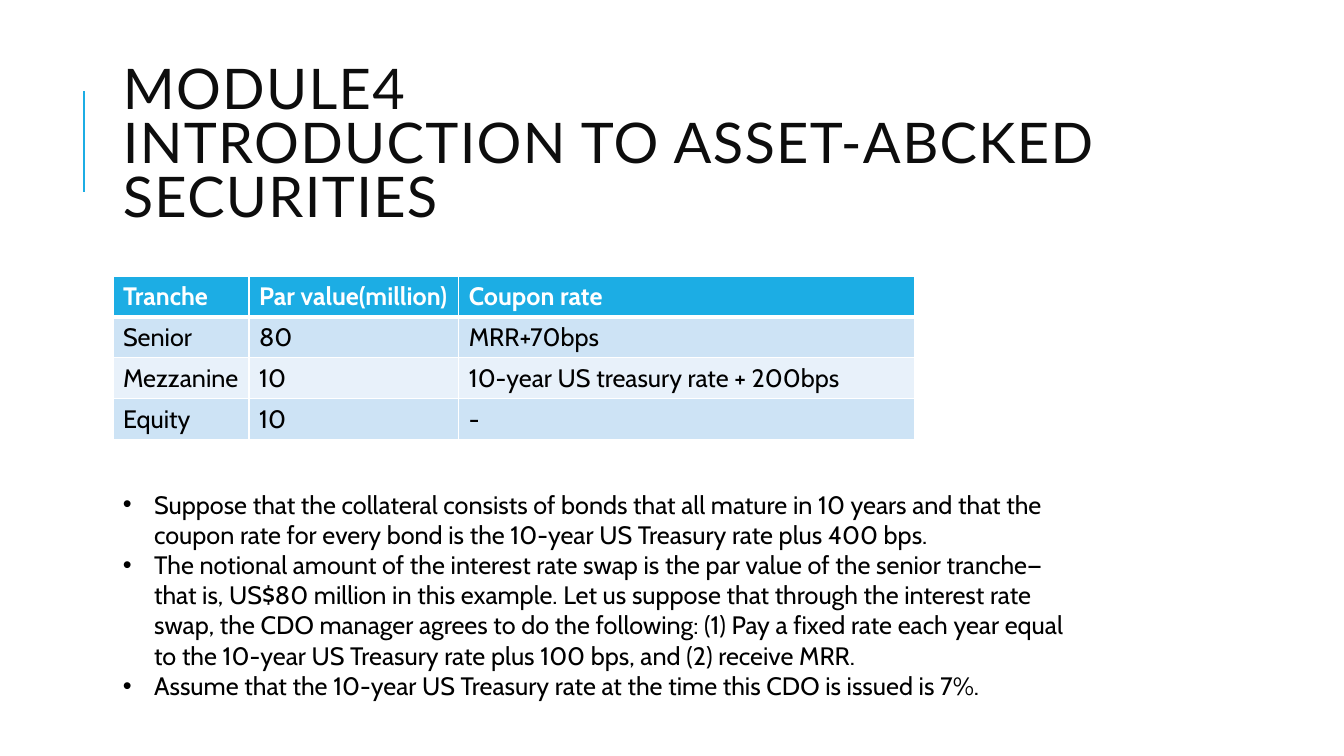
from lxml import etree
from pptx import Presentation
from pptx.dml.color import RGBColor
from pptx.enum.shapes import MSO_CONNECTOR
from pptx.enum.text import MSO_ANCHOR
from pptx.oxml.ns import qn
from pptx.util import Inches, Pt

STRAIGHT = MSO_CONNECTOR.STRAIGHT
MIDDLE = MSO_ANCHOR.MIDDLE
BLUE = RGBColor(0x1C, 0xAD, 0xE4)
PALE = RGBColor(0xCD, 0xE3, 0xF5)
LIGHT = RGBColor(0xE8, 0xF1, 0xFA)
WHITE = RGBColor(0xFF, 0xFF, 0xFF)
BLACK = RGBColor(0, 0, 0)
INK = RGBColor(0x0D, 0x0D, 0x0D)


def add_run(para, text, size, font, color, bold=False):
    run = para.add_run()
    run.text = text
    run.font.size = Pt(size)
    run.font.name = font
    run.font.color.rgb = color
    run.font.bold = bold
    return run


def add_edge(cell, index, side, width):
    edge = etree.Element(qn("a:ln" + side), w=str(Pt(width)))
    fill = etree.SubElement(edge, qn("a:solidFill"))
    etree.SubElement(fill, qn("a:srgbClr"), val=str(WHITE))
    cell._tc.get_or_add_tcPr().insert(index, edge)


prs = Presentation()
prs.slide_width = Inches(13.33)
prs.slide_height = Inches(7.5)
slide = prs.slides.add_slide(prs.slide_layouts[6])
shapes = slide.shapes

# Accent line beside the title
rule = shapes.add_connector(STRAIGHT, Inches(0.83), Inches(1.9), Inches(0.83), Inches(0.9))
rule.line.color.rgb = BLUE
rule.line.width = Pt(1.5)
etree.SubElement(rule._element.spPr, qn("a:effectLst"))

# Title
box = shapes.add_textbox(Inches(1.12), Inches(0.64), Inches(10.63), Inches(1.64))
frame = box.text_frame
frame.word_wrap = True
frame.vertical_anchor = MIDDLE
para = frame.paragraphs[0]
para.line_spacing = 0.8
lines = ["MODULE4", "INTRODUCTION TO ASSET-ABCKED SECURITIES"]
for i, line in enumerate(lines):
    if i:
        para.add_line_break()
    run = add_run(para, line, 40, "Lato", INK)
    run.font._element.set("spc", "100")

# Tranche table
rows = [
    ["Tranche", "Par value(million)", "Coupon rate"],
    ["Senior", "80", "MRR+70bps"],
    ["Mezzanine", "10", "10-year US treasury rate + 200bps"],
    ["Equity", "10", "-"],
]
widths = [1.35, 2.08, 4.52]
table = shapes.add_table(len(rows), len(widths), Inches(1.12), Inches(2.74),
                         Inches(sum(widths)), Inches(1.62)).table
for col, width in zip(table.columns, widths):
    col.width = Inches(width)
for r, row in enumerate(rows):
    head = r == 0
    shade = BLUE if head else PALE if r % 2 else LIGHT
    for c, text in enumerate(row):
        cell = table.cell(r, c)
        cell.fill.solid()
        cell.fill.fore_color.rgb = shade
        # The edge under the header is thicker
        edges = {"L": 1, "R": 1, "T": 3 if r == 1 else 1, "B": 3 if head else 1}
        for i, (side, width) in enumerate(edges.items()):
            add_edge(cell, i, side, width)
        add_run(cell.text_frame.paragraphs[0], text, 18, "Cabin",
                WHITE if head else BLACK, head)

# Bulleted notes on the swap
points = [
    "Suppose that the collateral consists of bonds that all mature in 10 years and that "
    "the coupon rate for every bond is the 10-year US Treasury rate plus 400 bps.",
    "The notional amount of the interest rate swap is the par value of the senior "
    "tranche\u2014that is, US$80 million in this example. Let us suppose that through the "
    "interest rate swap, the CDO manager agrees to do the following: (1) Pay a fixed rate "
    "each year equal to the 10-year US Treasury rate plus 100 bps, and (2) receive MRR.",
    "Assume that the 10-year US Treasury rate at the time this CDO is issued is 7%.",
]
box = shapes.add_textbox(Inches(1.12), Inches(4.8), Inches(9.58), Inches(2.22))
frame = box.text_frame
frame.word_wrap = True
for i, point in enumerate(points):
    para = frame.add_paragraph() if i else frame.paragraphs[0]
    props = para._p.get_or_add_pPr()
    props.set("marL", str(Inches(0.31)))
    props.set("indent", str(Inches(-0.31)))
    etree.SubElement(props, qn("a:buFont"), typeface="Arial")
    etree.SubElement(props, qn("a:buChar"), char="\u2022")
    add_run(para, point, 18, "Cabin", BLACK)

prs.save("out.pptx")
